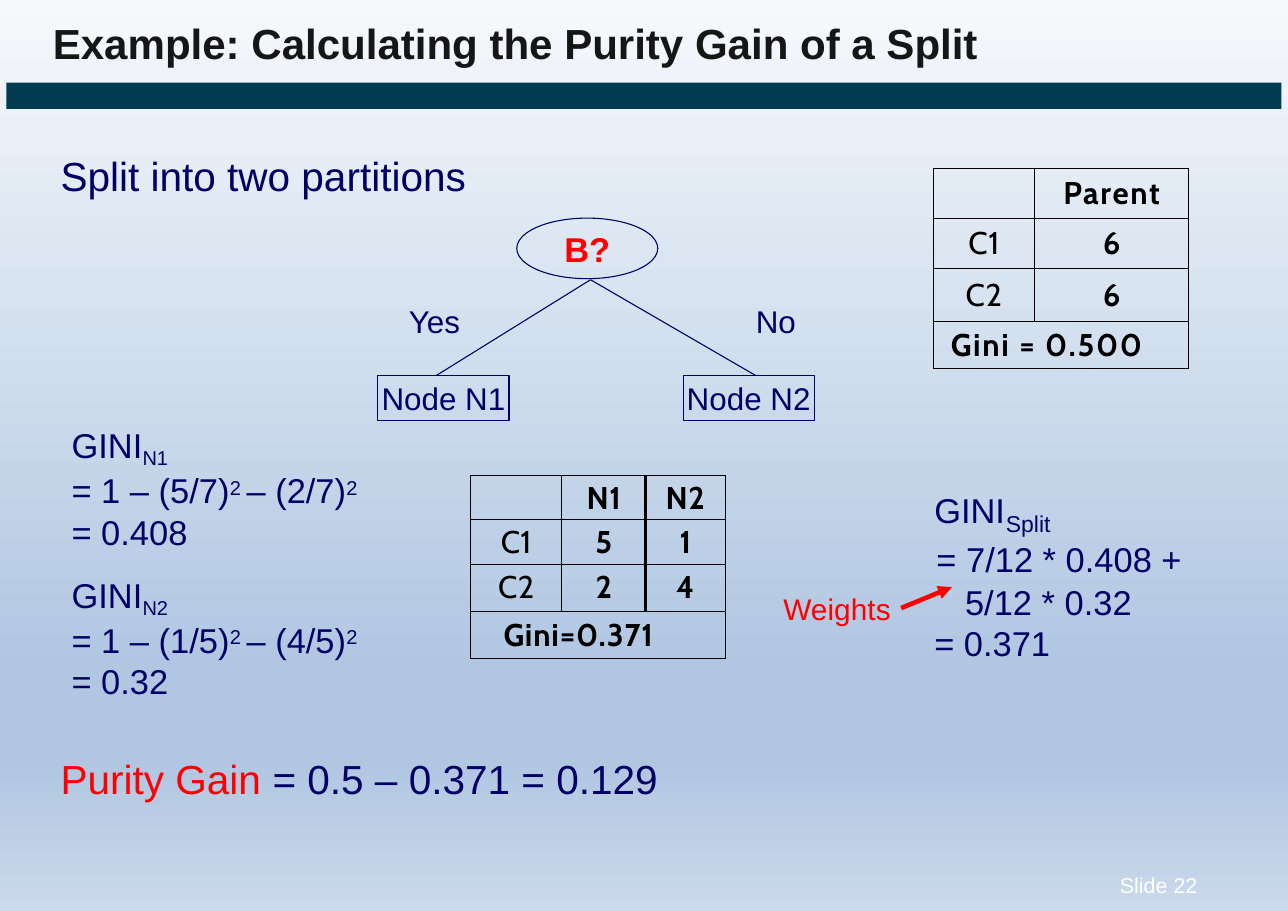
from dataclasses import dataclass

from lxml import etree
from pptx import Presentation
from pptx.dml.color import RGBColor
from pptx.enum.shapes import MSO_CONNECTOR, MSO_SHAPE
from pptx.enum.text import MSO_ANCHOR, MSO_AUTO_SIZE, PP_ALIGN
from pptx.oxml.ns import qn
from pptx.util import Emu, Inches, Pt

TITLE_ONLY = 5
LEFT, CENTER = PP_ALIGN.LEFT, PP_ALIGN.CENTER
TOP, MIDDLE = MSO_ANCHOR.TOP, MSO_ANCHOR.MIDDLE
STRAIGHT = MSO_CONNECTOR.STRAIGHT
OVAL, RECTANGLE = MSO_SHAPE.OVAL, MSO_SHAPE.RECTANGLE
NO_AUTOFIT = MSO_AUTO_SIZE.NONE
PLAIN_TABLE = "{2D5ABB26-0587-4C30-8999-92F81FD0307C}"
WIDTH, HEIGHT = Inches(11.69), Inches(8.27)
COLUMN, ROW = WIDTH / 100, HEIGHT / 100
SUBSCRIPT, SUPERSCRIPT = -20, 26


@dataclass(frozen=True)
class Theme:
    """Colours, fonts and type sizes of the slide."""
    navy: str = "000066"
    red: str = "FF0000"
    black: str = "000000"
    white: str = "FFFFFF"
    title: str = "161616"
    bar: str = "003B52"
    sky: tuple = ((0, "F6F9FC"), (74, "B0C6E1"), (83, "B0C6E1"), (100, "CAD9EB"))
    font: str = "Arial"
    table_font: str = "Cabin"
    title_size: float = 27.5
    lead_size: float = 26.5
    formula_size: float = 22.5
    label_size: float = 20.5
    note_size: float = 19.5
    index_size: float = 15
    footer_size: float = 14
    line: float = 0.72
    divider: float = 2.25
    arrow: float = 3


THEME = Theme()


@dataclass(frozen=True)
class Box:
    """A region measured in hundredths of the slide's width and height."""
    left: float
    top: float
    width: float
    height: float

    def area(self, left, top, width, height):
        """Return a box placed relative to this one."""
        return Box(self.left + left, self.top + top, width, height)

    def point(self, left, top):
        """Return a point placed relative to this box, in slide units."""
        return Emu(round((self.left + left) * COLUMN)), Emu(round((self.top + top) * ROW))

    def place(self):
        """Return left, top, width and height in slide units."""
        return *self.point(0, 0), Emu(round(self.width * COLUMN)), Emu(round(self.height * ROW))


def write(paragraph, text, size=THEME.formula_size, color=THEME.navy, bold=False,
          font=THEME.font, tracking=0, baseline=0):
    """Add a formatted run to a paragraph."""
    run = paragraph.add_run()
    run.text = text
    run.font.size, run.font.bold, run.font.name = Pt(size), bold, font
    run.font.color.rgb = RGBColor.from_string(color)
    properties = run._r.get_or_add_rPr()
    if tracking:
        properties.set("spc", str(round(tracking * 100)))
    if baseline:
        properties.set("baseline", str(baseline * 1000))


def prepare(frame, anchor=TOP, inset=3, wrap=True, align=LEFT):
    """Set a text frame's insets and return its first paragraph."""
    frame.margin_left = frame.margin_right = frame.margin_bottom = 0
    frame.margin_top = Pt(inset)
    frame.auto_size, frame.word_wrap, frame.vertical_anchor = NO_AUTOFIT, wrap, anchor
    frame.paragraphs[0].alignment = align
    return frame.paragraphs[0]


def add_text(slide, box, text, **style):
    """Add a one-line text box and return its paragraph."""
    paragraph = prepare(slide.shapes.add_textbox(*box.place()).text_frame)
    write(paragraph, text, **style)
    return paragraph


def add_shape(slide, kind, box, fill=None, line=None):
    """Add a flat preset shape."""
    shape = slide.shapes.add_shape(kind, *box.place())
    shape.shadow.inherit = False
    if fill:
        shape.fill.solid()
        shape.fill.fore_color.rgb = RGBColor.from_string(fill)
    else:
        shape.fill.background()
    if line:
        shape.line.color.rgb = RGBColor.from_string(line)
        shape.line.width = Pt(THEME.line)
    else:
        shape.line.fill.background()
    return shape


def add_line(slide, start, end, color, width, arrow=False):
    """Add a straight connector, with an arrowhead if asked."""
    connector = slide.shapes.add_connector(STRAIGHT, *start, *end)
    connector.line.color.rgb = RGBColor.from_string(color)
    connector.line.width = Pt(width)
    properties = connector._element.spPr
    if arrow:
        etree.SubElement(properties.find(qn("a:ln")), qn("a:tailEnd"), type="triangle")
    etree.SubElement(properties, qn("a:effectLst"))


def add_background(slide):
    """Fill the slide with the vertical sky gradient."""
    fill = slide.background.fill
    fill.gradient()
    fill.gradient_angle = 270
    stops = slide._element.find(".//" + qn("a:gsLst"))
    for stop in list(stops):
        stops.remove(stop)
    for position, color in THEME.sky:
        stop = etree.SubElement(stops, qn("a:gs"), pos=str(position * 1000))
        etree.SubElement(stop, qn("a:srgbClr"), val=color)


def add_header(slide, box):
    """Place the title and the bar below it."""
    add_shape(slide, RECTANGLE, box.area(0.5, 9.07, 99, 2.9), fill=THEME.bar)
    title = slide.shapes.title
    title.left, title.top, title.width, title.height = box.area(4.1, 1.45, 86, 6.29).place()
    write(prepare(title.text_frame), "Example: Calculating the Purity Gain of a Split",
          size=THEME.title_size, color=THEME.title, bold=True)


def add_tree(slide, box):
    """Draw the question with its two branches."""
    question = add_shape(slide, OVAL, box.area(10.78, 0, 10.95, 6.65), line=THEME.navy)
    write(prepare(question.text_frame, MIDDLE, 0, False, CENTER), "B?",
          color=THEME.red, bold=True)
    branches = (("Yes", 2.4, "Node N1", 0, 4.53), ("No", 29.34, "Node N2", 23.7, 29.34))
    for answer, answer_left, name, node_left, line_end in branches:
        add_line(slide, box.point(16.51, 6.77), box.point(line_end, 17.29),
                 THEME.navy, THEME.line)
        add_text(slide, box.area(answer_left, 8.71, 5, 4.59), answer, size=THEME.label_size)
        node = add_shape(slide, RECTANGLE, box.area(node_left, 17.29, 10.18, 4.96),
                         line=THEME.navy)
        write(prepare(node.text_frame, MIDDLE, 0, False, CENTER), name, size=THEME.label_size)


def add_borders(cell, **widths):
    """Draw the four borders of a cell, 0.75 points unless given."""
    for side in "LRTB":
        line = etree.SubElement(cell._tc.get_or_add_tcPr(), qn("a:ln" + side),
                                w=str(Pt(widths.get(side, 0.75))))
        fill = etree.SubElement(line, qn("a:solidFill"))
        etree.SubElement(fill, qn("a:srgbClr"), val=THEME.black)


def add_counts(slide, box, columns, rows, values, gini, indent, tracking):
    """Add a table of class counts closed by a merged Gini row."""
    table = slide.shapes.add_table(len(rows), len(columns), *box.place()).table
    table.first_row = table.horz_banding = False
    table._tbl.tblPr.find(qn("a:tableStyleId")).text = PLAIN_TABLE
    for column, width in zip(table.columns, columns):
        column.width = Emu(round(width * COLUMN))
    for row, height in zip(table.rows, rows):
        row.height = Emu(round(height * ROW))
    last = len(rows) - 1
    table.cell(last, 0).merge(table.cell(last, len(columns) - 1))
    for i, texts in enumerate((*values, (gini,))):
        for j, text in enumerate(texts):
            cell = table.cell(i, j)
            cell.margin_left = cell.margin_right = cell.margin_top = cell.margin_bottom = 0
            cell.vertical_anchor = MIDDLE
            divider = {1: "R", 2: "L"}.get(j) if len(columns) == 3 else None
            add_borders(cell, **({divider: THEME.divider} if divider else {}))
            cell.fill.background()
            paragraph = cell.text_frame.paragraphs[0]
            paragraph.alignment = CENTER
            if i == last:
                paragraph.alignment = LEFT
                cell.margin_left = Emu(round(indent * COLUMN))
            if text:
                label = j == 0 and i < last
                write(paragraph, text, size=THEME.label_size, color=THEME.black,
                      font=THEME.table_font, bold=not label,
                      tracking=tracking / 2 if label else tracking)


def add_node_formulas(slide, box):
    """Write the Gini calculation of both nodes."""
    frame = slide.shapes.add_textbox(*box.place()).text_frame
    paragraph = prepare(frame)
    for name, first, second, result in (("N1", "(5/7)", "(2/7)", "0.408"),
                                        ("N2", "(1/5)", "(4/5)", "0.32")):
        if name == "N2":
            paragraph = frame.add_paragraph()
            paragraph.space_before = Pt(14.1)
        write(paragraph, "GINI")
        write(paragraph, name, baseline=SUBSCRIPT)
        paragraph = frame.add_paragraph()
        for text, baseline in ((f"= 1 – {first}", 0), ("2 ", SUPERSCRIPT),
                               (f"– {second}", 0), ("2", SUPERSCRIPT)):
            write(paragraph, text, baseline=baseline)
        write(frame.add_paragraph(), f"= {result}")


def add_split_formula(slide, box):
    """Write the weighted Gini of the split and point at its weights."""
    add_text(slide, box.area(11.72, 0, 7, 4.96), "GINI")
    add_text(slide, box.area(17.28, 2.18, 5, 3.39), "Split", size=THEME.index_size)
    frame = slide.shapes.add_textbox(*box.area(11.72, 5.57, 19.5, 14.15).place()).text_frame
    paragraph = prepare(frame, inset=1.5)
    paragraph.line_spacing = 1.02
    properties = paragraph._p.get_or_add_pPr()
    properties.set("marL", str(Inches(0.28)))
    properties.set("indent", str(-Inches(0.26)))
    write(paragraph, "= 7/12 * 0.408 + 5/12 * 0.32")
    write(frame.add_paragraph(), "= 0.371")
    add_text(slide, box.area(0, 11.13, 9, 4.35), "Weights",
             size=THEME.note_size, color=THEME.red)
    add_line(slide, box.point(9.15, 13.55), box.point(13.09, 11.25),
             THEME.red, THEME.arrow, arrow=True)


def main():
    """Build and save the slide."""
    presentation = Presentation()
    presentation.slide_width, presentation.slide_height = WIDTH, HEIGHT
    slide = presentation.slides.add_slide(presentation.slide_layouts[TITLE_ONLY])
    page = Box(0, 0, 100, 100)
    add_background(slide)
    add_header(slide, page)
    add_text(slide, page.area(4.7, 16.08, 43, 5.7), "Split into two partitions",
             size=THEME.lead_size)
    add_tree(slide, page.area(29.34, 23.94, 33.88, 22.25))
    add_counts(slide, page.area(72.46, 18.5, 19.85, 21.99), (7.87, 11.98),
               (5.48, 5.48, 5.85, 5.18), (("", "Parent"), ("C1", "6"), ("C2", "6")),
               "Gini = 0.500", indent=1.37, tracking=1.1)
    add_counts(slide, page.area(36.53, 52.24, 19.76, 20.08), (7.1, 6.5, 6.16),
               (4.84, 4.84, 5.2, 5.2), (("", "N1", "N2"), ("C1", "5", "1"), ("C2", "2", "4")),
               "Gini=0.371", indent=2.57, tracking=0.55)
    add_node_formulas(slide, page.area(5.56, 46.07, 23.44, 30.23))
    add_split_formula(slide, page.area(60.82, 53.2, 31.22, 19.72))
    gain = add_text(slide, page.area(4.7, 82.22, 50, 5.7), "Purity Gain ",
                    size=THEME.lead_size, color=THEME.red)
    write(gain, "= 0.5 – 0.371 = 0.129", size=THEME.lead_size)
    add_text(slide, page.area(86.95, 95.2, 8, 3.2), "Slide 22",
             size=THEME.footer_size, color=THEME.white)
    presentation.save("out.pptx")


if __name__ == "__main__":
    main()
